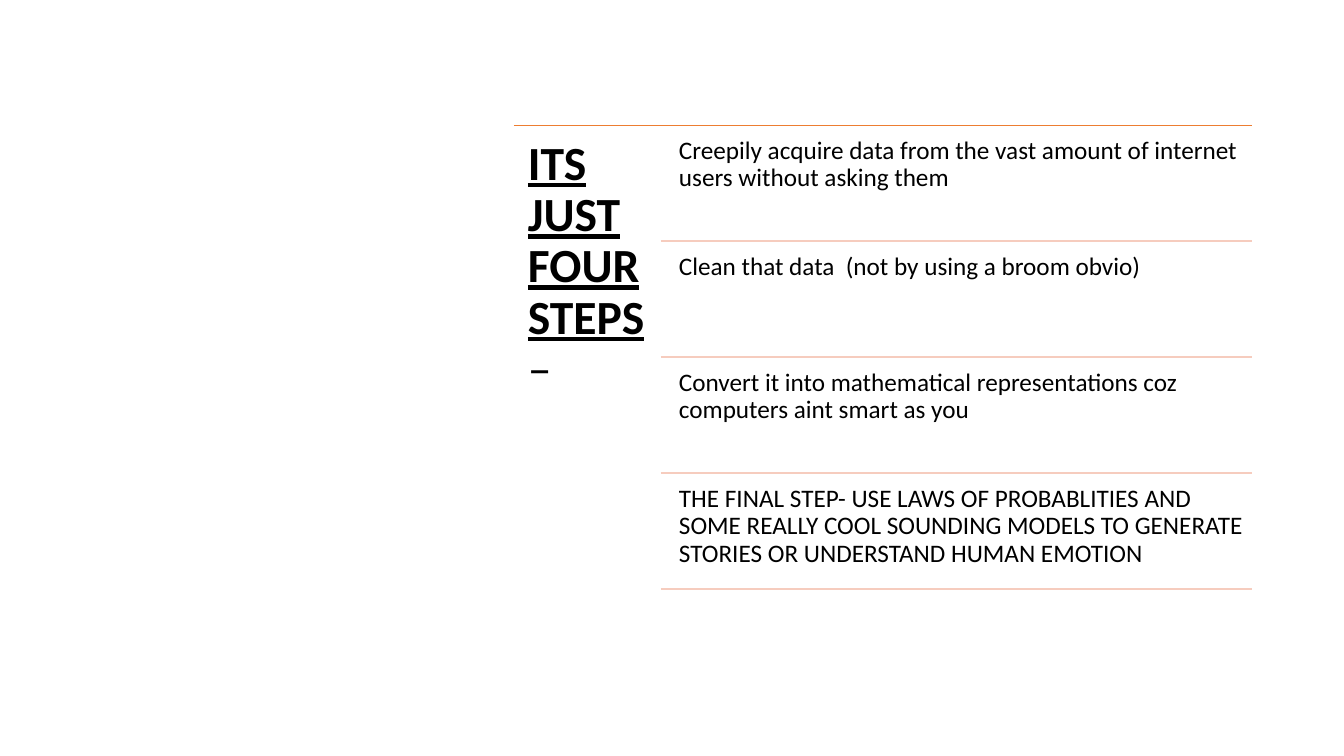
import pptx
import pptx.util
import pptx.dml.color
import pptx.enum.shapes
import pptx.enum.text
import pptx.oxml.ns
import lxml.etree

PX = 914400 / 100.8
COLORS = {"text": "000000", "top": "ED7D31", "rule": "F6CCBE"}
TOP, PITCH, RIGHT = 125, 116, 1252
STEPS = [
    "Creepily acquire data from the vast amount of internet users without asking them",
    "Clean that data  (not by using a broom obvio)",
    "Convert it into mathematical representations coz computers aint smart as you",
    "THE FINAL STEP- USE LAWS OF PROBABLITIES AND SOME REALLY COOL SOUNDING MODELS TO GENERATE STORIES OR UNDERSTAND HUMAN EMOTION",
]


def add_text(box, inset, runs):
    sp = slide.shapes.add_textbox(*[round(v * PX) for v in box])
    tf = sp.text_frame
    frame = {"word_wrap": True, "vertical_anchor": pptx.enum.text.MSO_ANCHOR.TOP}
    for side in ("left", "top", "right", "bottom"):
        frame["margin_" + side] = round(inset * PX)
    for name, value in frame.items():
        setattr(tf, name, value)
    p = tf.paragraphs[0]
    p.line_spacing = 0.9
    for text, size, strong in runs:
        r = p.add_run()
        r.text = text
        font = {"name": "Calibri", "size": pptx.util.Pt(size), "bold": strong, "underline": strong}
        for name, value in font.items():
            setattr(r.font, name, value)
        r.font.color.rgb = pptx.dml.color.RGBColor.from_string(COLORS["text"])


def add_rule(left, y, color, width):
    ends = [round(v * PX) for v in (left, y, RIGHT, y)]
    c = slide.shapes.add_connector(pptx.enum.shapes.MSO_CONNECTOR.STRAIGHT, *ends)
    c.line.color.rgb = pptx.dml.color.RGBColor.from_string(COLORS[color])
    c.line.width = pptx.util.Pt(width)
    lxml.etree.SubElement(c._element.spPr, pptx.oxml.ns.qn("a:effectLst"))


prs = pptx.Presentation()
prs.slide_width = round(1344 * PX)
prs.slide_height = round(756 * PX)
slide = prs.slides.add_slide(prs.slide_layouts[6])

add_rule(514, TOP, "top", 0.5)
add_text((514, TOP, 147, 469), 14, [("ITS JUST FOUR STEPS ", 34, True), ("–", 34, False)])

for i, step in enumerate(STEPS):
    y = TOP + i * PITCH
    add_text((672, y + 6, 580, 110), 7, [(step, 18, False)])
    add_rule(661, y + PITCH, "rule", 1)

prs.save("out.pptx")
